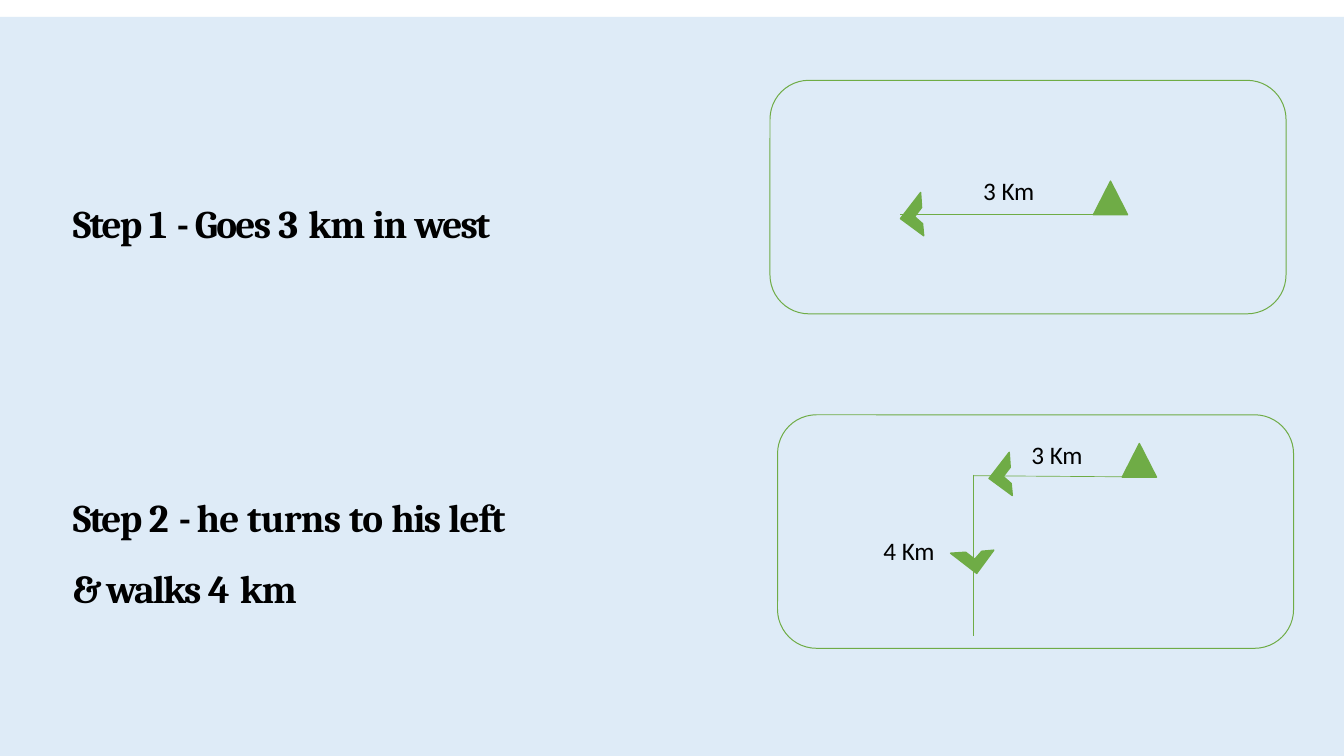
"""Build a slide that sketches two steps of a walking-direction puzzle."""
from dataclasses import dataclass

from lxml.etree import SubElement
from pptx import Presentation
from pptx.dml.color import RGBColor
from pptx.enum.shapes import MSO_CONNECTOR, MSO_SHAPE
from pptx.oxml.ns import qn
from pptx.shapes.autoshape import Shape
from pptx.slide import Slide
from pptx.util import Pt

COLORS = {"sky": "DEEBF7", "green": "6FAC46", "ink": "000000"}
PANEL_SIZE = (368.6, 166.8)
START_SIZE = (24.5, 24)
WEST_ARROW = [(0, 0), (14.4, -18.7), (15.1, -7.9), (10.1, -1.4), (15.8, 3.6), (16.6, 12.2)]
SOUTH_ARROW = [(y, -x) for x, y in WEST_ARROW]


@dataclass(frozen=True)
class Caption:
    left: float
    top: float
    width: float
    height: float
    spans: list[tuple[str, float]]
    font: str = "Cambria"
    size: float = 28
    bold: bool = True
    line_spacing: float = 1.0
    wrap: bool = True


@dataclass(frozen=True)
class Leg:
    start: tuple[float, float]
    end: tuple[float, float]
    arrow: list[tuple[float, float]]
    tip: tuple[float, float]
    label: tuple[float, float]
    distance: str


@dataclass(frozen=True)
class Step:
    caption: Caption
    panel: tuple[float, float]
    start_mark: tuple[float, float]
    legs: list[Leg]


STEPS = [
    Step(
        Caption(51.1, 141.1, 322.6, 35.3, [
            ("Step ", -1.3), ("1 ", 0.5), ("- ", -2.1), ("Goes ", -1.1),
            ("3 ", 0.5), ("km ", -0.6), ("in ", -0.9), ("west", -1.4)]),
        (550, 57.4), (781, 129.4),
        [Leg((781.2, 153.1), (643.2, 153.1), WEST_ARROW, (643.2, 156.2), (701.3, 124.6), "3 ")],
    ),
    Step(
        Caption(51.1, 334.8, 324, 103, [
            ("Step ", -1.3), ("2 ", 0.5), ("- ", -2.1), ("he ", -0.6),
            ("turns ", -0.5), ("to ", -0.3), ("his ", -1.1), ("left ", -0.6),
            ("& ", -2.9), ("walks ", -1.4), ("4 ", 0.5), ("km", -0.6)], line_spacing=1.5),
        (555.4, 296.3), (801.6, 316.8),
        [
            Leg((804.2, 340.6), (695.1, 339.8), WEST_ARROW, (706.5, 341.8), (735.8, 313.2), "3 "),
            Leg((695.1, 339.1), (695.1, 454.3), SOUTH_ARROW, (697.7, 409.6), (630, 381.2), "4 "),
        ],
    ),
]


def color(name: str) -> RGBColor:
    return RGBColor.from_string(COLORS[name])


def paint(shape: Shape, fill: str | None, line: str | None, weight: float = 1) -> None:
    shape.shadow.inherit = False
    if fill:
        shape.fill.solid()
        shape.fill.fore_color.rgb = color(fill)
    else:
        shape.fill.background()
    if line:
        shape.line.color.rgb = color(line)
        shape.line.width = Pt(weight)
    else:
        shape.line.fill.background()


def add_caption(page: Slide, caption: Caption) -> None:
    box = page.shapes.add_textbox(
        Pt(caption.left), Pt(caption.top), Pt(caption.width), Pt(caption.height))
    frame = box.text_frame
    frame.word_wrap = caption.wrap
    frame.margin_left = frame.margin_right = frame.margin_bottom = 0
    frame.margin_top = Pt(0.9)
    para = frame.paragraphs[0]
    para.space_before = Pt(1)
    para.line_spacing = caption.line_spacing
    para.font.name = caption.font
    para.font.size = Pt(caption.size)
    para.font.bold = caption.bold
    para.font.color.rgb = color("ink")
    para._p.get_or_add_pPr().set("marL", str(Pt(1)))
    for text, spacing in caption.spans:
        span = para.add_run()
        span.text = text
        span._r.get_or_add_rPr().set("spc", str(round(spacing * 100)))


def add_line(page: Slide, start: tuple[float, float], end: tuple[float, float]) -> None:
    line = page.shapes.add_connector(
        MSO_CONNECTOR.STRAIGHT, Pt(start[0]), Pt(start[1]), Pt(end[0]), Pt(end[1]))
    line.line.color.rgb = color("green")
    line.line.width = Pt(0.48)
    SubElement(line._element.spPr, qn("a:effectLst"))


def add_arrow(page: Slide, outline: list[tuple[float, float]], tip: tuple[float, float]) -> None:
    points = [(Pt(tip[0] + x), Pt(tip[1] + y)) for x, y in outline]
    builder = page.shapes.build_freeform(*points[0])
    builder.add_line_segments(points[1:], close=True)
    paint(builder.convert_to_shape(), "green", "green")


def add_leg(page: Slide, leg: Leg) -> None:
    add_line(page, leg.start, leg.end)
    add_arrow(page, leg.arrow, leg.tip)
    add_caption(page, Caption(
        *leg.label, 38.9, 23.8, [(leg.distance, 0), ("Km", -0.1)],
        font="Calibri", size=18, bold=False, wrap=False))


def add_preset(page: Slide, kind: MSO_SHAPE, corner: tuple[float, float],
               size: tuple[float, float]) -> Shape:
    return page.shapes.add_shape(kind, *(Pt(value) for value in (*corner, *size)))


def add_step(page: Slide, step: Step) -> None:
    add_caption(page, step.caption)
    panel = add_preset(page, MSO_SHAPE.ROUNDED_RECTANGLE, step.panel, PANEL_SIZE)
    paint(panel, None, "green", 0.72)
    start = add_preset(page, MSO_SHAPE.ISOSCELES_TRIANGLE, step.start_mark, START_SIZE)
    paint(start, "green", "green", 0.96)
    for leg in step.legs:
        add_leg(page, leg)


def main() -> None:
    deck = Presentation()
    deck.slide_width, deck.slide_height = Pt(960), Pt(540)
    page = deck.slides.add_slide(deck.slide_layouts[6])
    backdrop = add_preset(page, MSO_SHAPE.RECTANGLE, (0, 12), (960, 528))
    paint(backdrop, "sky", None)
    for step in STEPS:
        add_step(page, step)
    deck.save("out.pptx")


if __name__ == "__main__":
    main()
